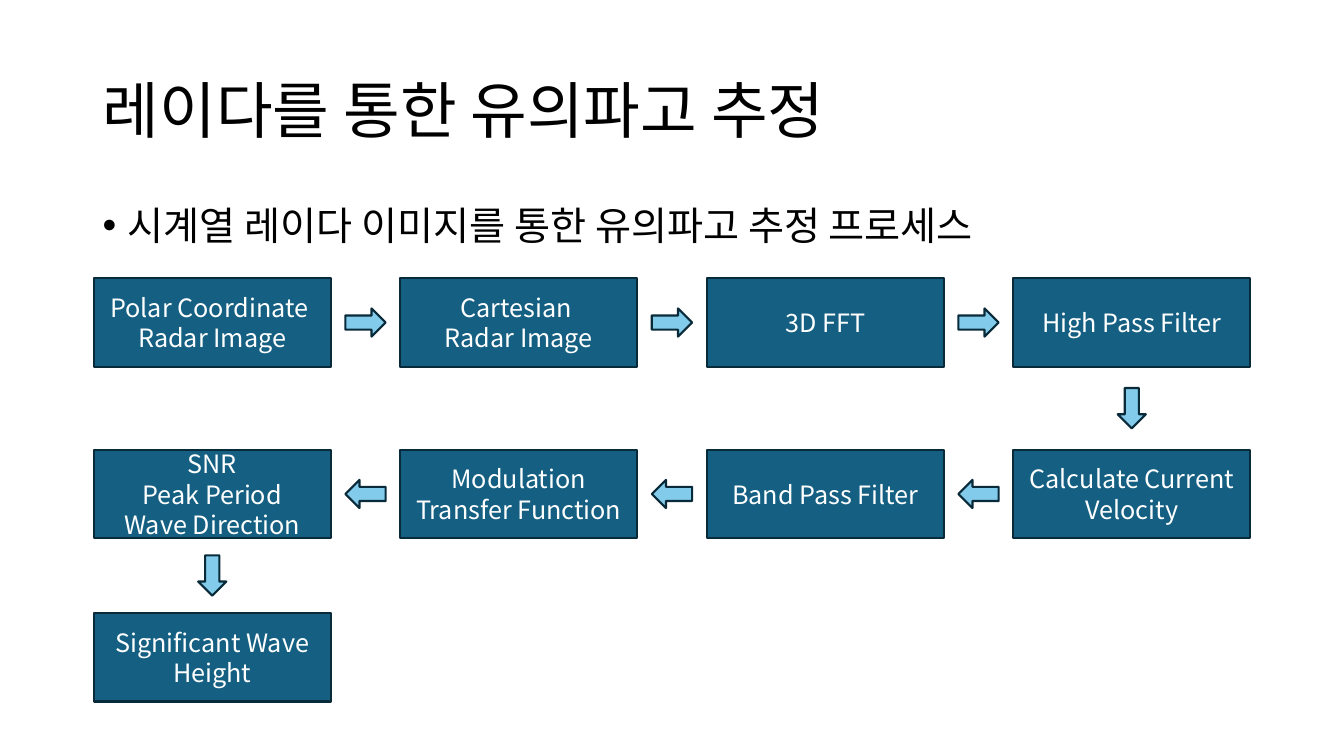
import math

import pptx
import pptx.dml.color
import pptx.enum.shapes
import pptx.enum.text
import pptx.oxml
import pptx.oxml.ns
import pptx.util
from pptx.util import Inches

RGBColor = pptx.dml.color.RGBColor
MSO_SHAPE = pptx.enum.shapes.MSO_SHAPE
PP_ALIGN = pptx.enum.text.PP_ALIGN
MSO_ANCHOR = pptx.enum.text.MSO_ANCHOR

BLACK = RGBColor(0x00, 0x00, 0x00)
WHITE = RGBColor(0xFF, 0xFF, 0xFF)
STEP_BLUE = RGBColor(0x15, 0x60, 0x82)
ARROW_BLUE = RGBColor(0x83, 0xCB, 0xEB)
OUTLINE = RGBColor(0x09, 0x2A, 0x39)
FONT = "Noto Sans CJK KR"

STEP_W, STEP_H = 2.35, 0.88
ARROW_W, ARROW_H = 0.4, 0.28
COLUMNS = [0.93 + 3.04 * column for column in range(4)]
ROWS = [2.76, 4.46, 6.08]

# Process steps in order: text, column, row
STEPS = [
    ("Polar Coordinate \nRadar Image", 0, 0),
    ("Cartesian \nRadar Image", 1, 0),
    ("3D FFT", 2, 0),
    ("High Pass Filter", 3, 0),
    ("Calculate Current Velocity", 3, 1),
    ("Band Pass Filter", 2, 1),
    ("Modulation Transfer Function", 1, 1),
    ("SNR\nPeak Period\nWave Direction", 0, 1),
    ("Significant Wave Height", 0, 2),
]


def format_text(paragraph, size, color, align, line_spacing=1.0):
    paragraph.alignment = align
    paragraph.line_spacing = line_spacing
    paragraph.space_before = pptx.util.Pt(0)
    for run in paragraph.runs:
        run.font.size = pptx.util.Pt(size)
        run.font.color.rgb = color
        run.font.name = FONT
        # Hangul takes its font from the East Asian typeface
        east_asian = pptx.oxml.parse_xml(
            f'<a:ea {pptx.oxml.ns.nsdecls("a")} typeface="{FONT}"/>')
        run.font._element.append(east_asian)


def add_title(slide, text):
    title = slide.shapes.title
    title.left, title.top = Inches(0.92), Inches(0.4)
    title.width, title.height = Inches(11.5), Inches(1.45)
    title.text_frame.text = text
    title.text_frame.vertical_anchor = MSO_ANCHOR.MIDDLE
    format_text(title.text_frame.paragraphs[0], 44, BLACK, PP_ALIGN.LEFT, 0.9)


def add_bullet(slide, text):
    summary = slide.shapes.add_textbox(
        Inches(0.92), Inches(2), Inches(11.5), Inches(0.65))
    summary.text_frame.word_wrap = True
    summary.text_frame.text = text
    paragraph = summary.text_frame.paragraphs[0]
    format_text(paragraph, 28, BLACK, PP_ALIGN.LEFT, 0.9)
    properties = paragraph._p.get_or_add_pPr()
    properties.set("marL", str(Inches(0.25)))
    properties.set("indent", str(-Inches(0.25)))
    for bullet in ('buFont {} typeface="Arial"', 'buChar {} char="•"'):
        properties.append(pptx.oxml.parse_xml(
            f'<a:{bullet.format(pptx.oxml.ns.nsdecls("a"))}/>'))


def add_block(flow, kind, center, width, height, fill):
    x, y = center
    block = flow.shapes.add_shape(
        kind, Inches(x - width / 2), Inches(y - height / 2),
        Inches(width), Inches(height))
    block.shadow.inherit = False
    block.fill.solid()
    block.fill.fore_color.rgb = fill
    block.line.color.rgb = OUTLINE
    block.line.width = pptx.util.Pt(1.5)
    return block


def add_step(flow, text, center):
    step = add_block(flow, MSO_SHAPE.RECTANGLE, center, STEP_W, STEP_H, STEP_BLUE)
    step.text_frame.word_wrap = True
    step.text_frame.vertical_anchor = MSO_ANCHOR.MIDDLE
    step.text_frame.text = text
    for paragraph in step.text_frame.paragraphs:
        format_text(paragraph, 18, WHITE, PP_ALIGN.CENTER)


def add_arrow(flow, start, end):
    """Put an arrow halfway between two steps, pointing to the second."""
    (x1, y1), (x2, y2) = start, end
    middle = ((x1 + x2) / 2, (y1 + y2) / 2)
    arrow = add_block(flow, MSO_SHAPE.RIGHT_ARROW, middle, ARROW_W, ARROW_H, ARROW_BLUE)
    arrow.rotation = math.degrees(math.atan2(y2 - y1, x2 - x1))


def main():
    presentation = pptx.Presentation()
    presentation.slide_width = Inches(13.33)
    presentation.slide_height = Inches(7.5)
    slide = presentation.slides.add_slide(presentation.slide_layouts[5])

    # Heading
    add_title(slide, "레이다를 통한 유의파고 추정")
    add_bullet(slide, "시계열 레이다 이미지를 통한 유의파고 추정 프로세스")

    # Process flow
    flow = slide.shapes.add_group_shape()
    centers = [(COLUMNS[column] + STEP_W / 2, ROWS[row] + STEP_H / 2)
               for _, column, row in STEPS]
    for (text, _, _), center in zip(STEPS, centers):
        add_step(flow, text, center)
    for start, end in zip(centers, centers[1:]):
        add_arrow(flow, start, end)

    presentation.save("out.pptx")


if __name__ == "__main__":
    main()
